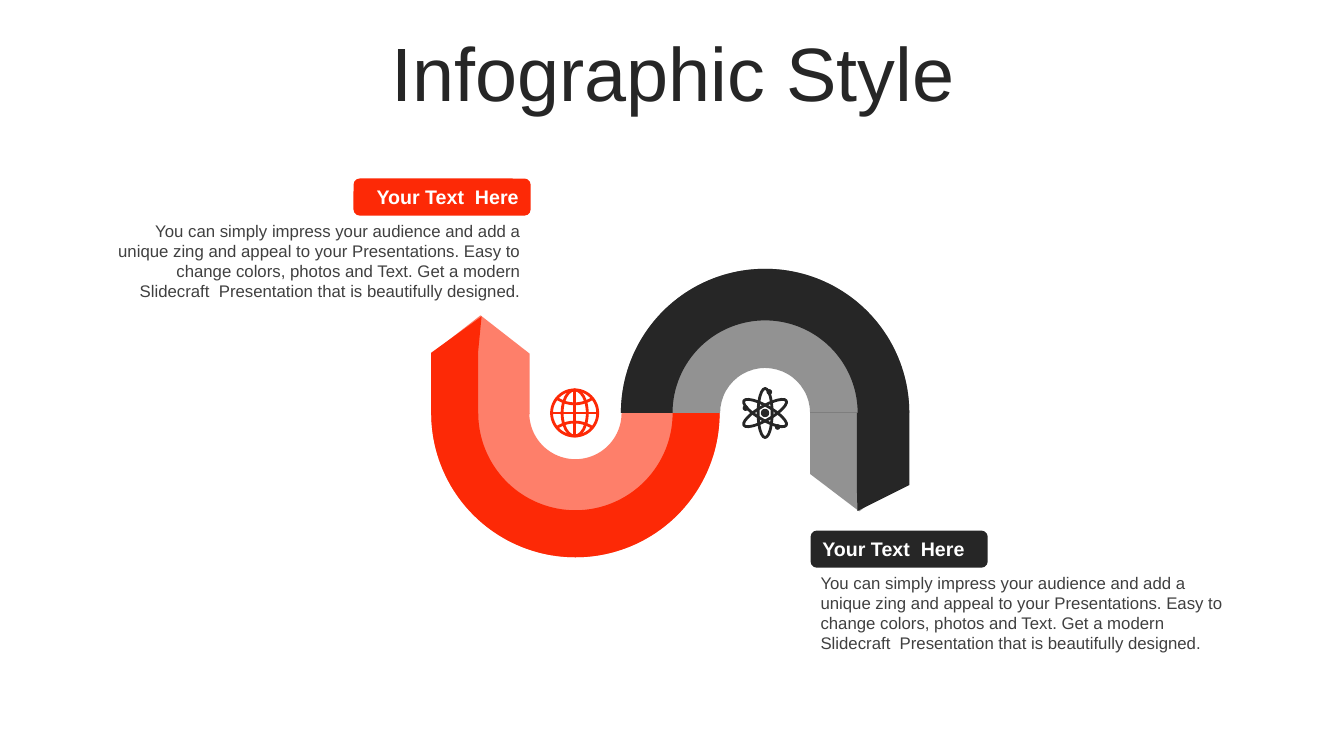
from dataclasses import dataclass

from lxml import etree
from pptx import Presentation
from pptx import util as u
from pptx.dml.color import RGBColor
from pptx.enum import shapes, text
from pptx.oxml.ns import qn

PX = 6350  # 144 px to the inch


@dataclass(frozen=True)
class Theme:
    font: str = "Arial"
    red: str = "FD2906"
    light_red: str = "FE7F6A"
    dark: str = "262626"
    body: str = "404040"
    white: str = "FFFFFF"
    title_size: int = 54
    label_size: int = 14
    body_size: int = 12
    icon_stroke: int = 4


THEME = Theme()
KIND = shapes.MSO_SHAPE
ALIGN = text.PP_ALIGN
LABEL = "Your Text  Here"
BODY = ("You can simply impress your audience and add a unique zing and appeal "
        "to your Presentations. Easy to change colors, photos and Text. Get a "
        "modern Slidecraft  Presentation that is beautifully designed.")


def px(*lengths):
    return [u.Emu(length * PX) for length in lengths]


def paint(shape, colour, opacity=100):
    shape.shadow.inherit = False
    shape.line.fill.background()
    shape.fill.solid()
    shape.fill.fore_color.rgb = RGBColor.from_string(colour)
    if opacity < 100:
        colour_element = shape.fill._xPr.find(qn("a:solidFill"))[0]
        alpha = etree.SubElement(colour_element, qn("a:alpha"))
        alpha.set("val", str(opacity * 1000))


def stroke(shape, colour):
    shape.line.color.rgb = RGBColor.from_string(colour)
    shape.line.width = px(THEME.icon_stroke)[0]


def write(shape, words, size, colour, align, anchor, bold=False):
    frame = shape.text_frame
    frame.word_wrap = True
    frame.auto_size = text.MSO_AUTO_SIZE.NONE
    frame.vertical_anchor = anchor
    paragraph = frame.paragraphs[0]
    paragraph.text = words
    paragraph.alignment = align
    font = paragraph.font
    font.name, font.size, font.bold = THEME.font, u.Pt(size), bold
    font.color.rgb = RGBColor.from_string(colour)
    return paragraph


def place_title(slide, left, top, width, height):
    title = slide.shapes.title
    title.left, title.top, title.width, title.height = px(left, top, width, height)
    paragraph = write(title, "Infographic Style", THEME.title_size, THEME.dark,
                      ALIGN.CENTER, text.MSO_ANCHOR.MIDDLE)
    paragraph.line_spacing = 0.9


def add_ribbon(slide, left, top, size, turn, inner, outer, band, plate, side):
    """Half ring with an arrow: inner and outer are (colour, opacity),
    band is the thickness of each, plate is (offset x, offset y, tip),
    side is the outline of the arrow's outer face from the ring's middle left."""
    middle = top + size // 2

    def add_arc(thickness, fill):
        arc = slide.shapes.add_shape(KIND.BLOCK_ARC, *px(left, top, size, size))
        arc.rotation = turn
        for index, value in enumerate((108, 0, thickness)):
            arc.adjustments[index] = value
        paint(arc, *fill)

    offset_x, offset_y, tip = plate
    add_arc(band[0], inner)
    arrow = slide.shapes.add_shape(
        KIND.PENTAGON, *px(left + offset_x, middle + offset_y, 141, 140))
    arrow.rotation = turn + 90
    arrow.adjustments[0] = tip
    paint(arrow, *inner)

    add_arc(band[1], outer)
    points = [(left + x, middle + y) for x, y in side]
    builder = slide.shapes.build_freeform(*points[0], scale=PX)
    builder.add_line_segments(points[1:], close=True)
    paint(builder.convert_to_shape(), *outer)


def add_ellipse(group, x, y, half_width, half_height):
    return group.shapes.add_shape(KIND.OVAL, *px(
        x - half_width, y - half_height, 2 * half_width, 2 * half_height))


def add_ring(group, colour, *ellipse, rotation=0):
    ring = add_ellipse(group, *ellipse)
    ring.shadow.inherit = False
    ring.fill.background()
    ring.rotation = rotation
    stroke(ring, colour)


def add_globe(slide, x, y, radius, colour):
    group = slide.shapes.add_group_shape()
    for half_width in (radius, 18):
        add_ring(group, colour, x, y, half_width, radius)
    for dx, dy in ((radius, 0), (0, radius)):
        axis = group.shapes.add_connector(
            shapes.MSO_CONNECTOR.STRAIGHT, *px(x - dx, y - dy, x + dx, y + dy))
        etree.SubElement(axis._element.spPr, qn("a:effectLst"))
        stroke(axis, colour)
    curve = 45
    for dy, start in ((-58, 57), (58, 237)):
        parallel = group.shapes.add_shape(
            KIND.ARC, *px(x - curve, y + dy - curve, 2 * curve, 2 * curve))
        parallel.adjustments[0] = start * 0.6
        parallel.adjustments[1] = (start + 66) * 0.6
        parallel.shadow.inherit = False
        parallel.fill.background()
        stroke(parallel, colour)


def add_atom(slide, x, y, radius, colour):
    group = slide.shapes.add_group_shape()
    for rotation in (0, 60, 120):
        add_ring(group, colour, x, y, 10, radius, rotation=rotation)
    nucleus_and_electrons = ((0, 0, 6), (6, -30, 4), (-28, -7, 4), (18, 20, 4))
    for dx, dy, dot in nucleus_and_electrons:
        paint(add_ellipse(group, x + dx, y + dy, dot, dot), colour)


def add_callout(slide, left, top, width, height, colour, align):
    label_width, label_height = 253, 53
    label_left = left + width - label_width if align == ALIGN.RIGHT else left
    label = slide.shapes.add_shape(
        KIND.ROUNDED_RECTANGLE, *px(label_left, top, label_width, label_height))
    paint(label, colour)
    write(label, LABEL, THEME.label_size, THEME.white, align,
          text.MSO_ANCHOR.MIDDLE, bold=True)
    body = slide.shapes.add_textbox(
        *px(left, top + label_height, width, height - label_height))
    write(body, BODY, THEME.body_size, THEME.body, align, text.MSO_ANCHOR.TOP)


def main():
    presentation = Presentation()
    presentation.slide_width, presentation.slide_height = px(1920, 1080)
    slide = presentation.slides.add_slide(presentation.slide_layouts[5])
    place_title(slide, 50, 53, 1823, 114)
    add_ribbon(slide, 616, 384, 412, 180, (THEME.light_red, 100), (THEME.red, 100),
               band=(0.34, 0.163), plate=(0, -139, 0.39),
               side=[(0, 0), (0, -86), (72, -138), (67, -86), (67, 0)])
    add_ribbon(slide, 887, 384, 412, 0, (THEME.dark, 50), (THEME.dark, 100),
               band=(0.344, 0.179), plate=(270, 0, 0.38),
               side=[(412, 0), (412, 103), (338, 140), (337, 103), (337, 0)])
    add_callout(slide, 137, 255, 621, 184, THEME.red, ALIGN.RIGHT)
    add_callout(slide, 1158, 758, 618, 184, THEME.dark, ALIGN.LEFT)
    add_globe(slide, 821, 590, 33, THEME.red)
    add_atom(slide, 1093, 590, 35, THEME.dark)
    presentation.save("out.pptx")


if __name__ == "__main__":
    main()
